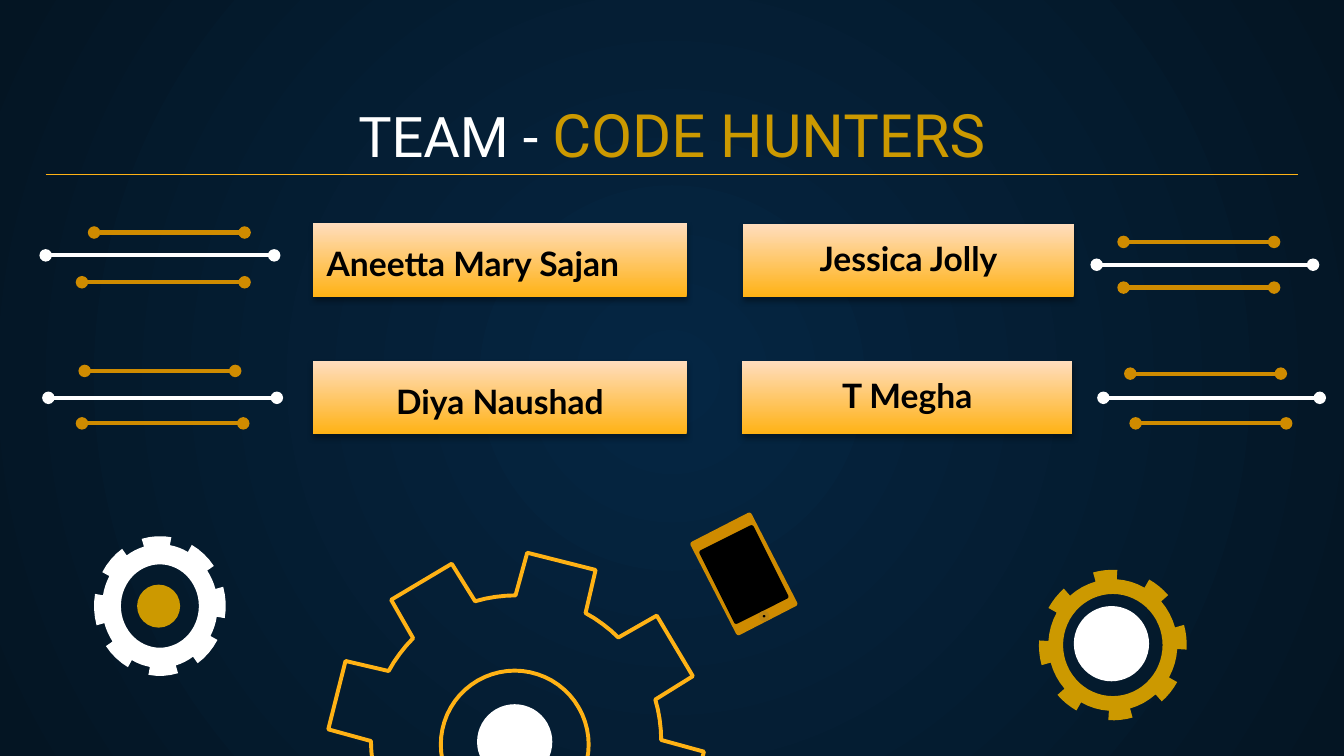
from math import cos, radians, sin

from lxml import etree
from pptx import Presentation
from pptx.dml.color import RGBColor
from pptx.enum import shapes, text
from pptx.oxml import parse_xml
from pptx.oxml.ns import nsdecls, qn
from pptx.util import Inches, Pt

WHITE = RGBColor(0xFF, 0xFF, 0xFF)
BLACK = RGBColor(0, 0, 0)
GOLD = RGBColor(0xCC, 0x99, 0x00)
BRONZE = RGBColor(0xCF, 0x8B, 0x00)
DARK_BRONZE = RGBColor(0xBD, 0x84, 0x10)
AMBER = RGBColor(0xFF, 0xB2, 0x15)
PEACH = RGBColor(0xFF, 0xDD, 0xBD)
NAVY = RGBColor(0x05, 0x26, 0x43)
MIDNIGHT = RGBColor(0x04, 0x15, 0x23)

# left, right, y, colour
CIRCUIT_LINES = [
    (0.34, 2.04, 1.90, WHITE), (0.36, 2.06, 2.96, WHITE),
    (8.16, 9.77, 1.97, WHITE), (8.21, 9.82, 2.96, WHITE),
    (0.70, 1.82, 1.73, BRONZE), (0.61, 1.82, 2.10, BRONZE),
    (0.63, 1.75, 2.76, BRONZE), (0.61, 1.81, 3.15, BRONZE),
    (8.36, 9.48, 1.80, BRONZE), (8.36, 9.48, 2.14, BRONZE),
    (8.41, 9.53, 2.78, BRONZE), (8.45, 9.57, 3.15, BRONZE),
]


def place(shape, left, top, width, height):
    shape.left, shape.top = Inches(left), Inches(top)
    shape.width, shape.height = Inches(width), Inches(height)


def set_gradient(fill, first, last):
    fill.gradient()
    for stop, color in zip(fill.gradient_stops, (first, last)):
        stop.color.rgb = color


def paint_background(slide):
    """Radial gradient, lightest at the centre of the slide."""
    set_gradient(slide.background.fill, NAVY, MIDNIGHT)
    linear = next(slide.element.iter(qn("a:lin")))
    linear.getparent().replace(linear, parse_xml(
        f'<a:path {nsdecls("a")} path="circle">'
        '<a:fillToRect l="50000" t="50000" r="50000" b="50000"/></a:path>'))


def set_frame(box, anchor):
    frame = box.text_frame
    frame.word_wrap = True
    frame.auto_size = text.MSO_AUTO_SIZE.NONE
    frame.vertical_anchor = anchor
    frame.margin_left = frame.margin_right = Inches(0.1)
    frame.margin_top = frame.margin_bottom = Inches(0.1)
    return frame.paragraphs[0]


def fill_title(title):
    place(title, 0.34, 0.7, 9.32, 0.66)
    para = set_frame(title, text.MSO_ANCHOR.BOTTOM)
    para.alignment = text.PP_ALIGN.CENTER
    para.font.name = "Roboto"
    for words, size, color in (("TEAM - ", 30, WHITE), ("CODE HUNTERS", 32, GOLD)):
        span = para.add_run()
        span.text = words
        span.font.size = Pt(size)
        span.font.color.rgb = color


def fill_name_box(box, name, align, spacing=1.0):
    set_gradient(box.fill, AMBER, PEACH)
    box.fill.gradient_angle = 90
    box.line.fill.background()
    box.shadow.inherit = False
    effects = box.element.spPr.find(qn("a:effectLst"))
    effects.append(parse_xml(
        f'<a:outerShdw {nsdecls("a")} blurRad="{Pt(3.1)}" dist="{Pt(1.8)}" dir="5400000">'
        '<a:srgbClr val="000000"><a:alpha val="35000"/></a:srgbClr></a:outerShdw>'))
    para = set_frame(box, text.MSO_ANCHOR.TOP)
    para.text = name
    para.alignment = align
    para.line_spacing = spacing
    para.space_before = Pt(0)
    para.font.name = "Lato"
    para.font.size = Pt(18)
    para.font.bold = True
    para.font.color.rgb = BLACK


def add_line(slide, left, right, y, color, width, dots=False):
    line = slide.shapes.add_connector(
        shapes.MSO_CONNECTOR.STRAIGHT, Inches(left), Inches(y), Inches(right), Inches(y))
    line.line.color.rgb = color
    line.line.width = Pt(width)
    properties = line.element.spPr
    if dots:
        for end in ("a:headEnd", "a:tailEnd"):
            etree.SubElement(properties.find(qn("a:ln")), qn(end), type="oval")
    etree.SubElement(properties, qn("a:effectLst"))


def add_solid(slide, kind, left, top, width, height, color):
    shape = slide.shapes.add_shape(
        kind, Inches(left), Inches(top), Inches(width), Inches(height))
    shape.shadow.inherit = False
    shape.fill.solid()
    shape.fill.fore_color.rgb = color
    shape.line.fill.background()
    return shape


def add_disc(slide, x, y, radius, color):
    return add_solid(slide, shapes.MSO_SHAPE.OVAL,
                     x - radius, y - radius, 2 * radius, 2 * radius, color)


def arc(center, radii, start, end, steps):
    """Points on an ellipse, in degrees clockwise from the top."""
    angles = [radians(start + (end - start) * i / steps) for i in range(steps + 1)]
    return [(Inches(center[0] + radii[0] * sin(a)), Inches(center[1] - radii[1] * cos(a)))
            for a in angles]


def add_gear(slide, center, tip, root, hole_center, hole, turn, tip_half, root_half, tip_steps=4):
    """Gear of eight teeth; turn is the angle of the first, halves are tooth half-angles."""
    outline = []
    for tooth in range(8):
        middle = turn + 45 * tooth
        outline += arc(center, tip, middle - tip_half, middle + tip_half, tip_steps)
        outline += arc(center, root, middle + root_half, middle + 45 - root_half, 4)
    rim = arc(hole_center, hole, 0, 360, 60)
    builder = slide.shapes.build_freeform(*outline[0])
    builder.add_line_segments(outline[1:])
    builder.move_to(*rim[0])
    builder.add_line_segments(rim[1:])
    gear = builder.convert_to_shape()
    gear.shadow.inherit = False
    gear.line.fill.background()
    return gear


def add_gears(slide):
    white = add_gear(slide, (1.19, 4.51), (0.49, 0.52), (0.43, 0.46),
                     (1.19, 4.51), (0.29, 0.31), -3, 13, 13)
    gold = add_gear(slide, (8.28, 4.8), (0.55, 0.56), (0.48, 0.49),
                    (8.28, 4.8), (0.37, 0.38), -6, 9.5, 9.5)
    for gear, color in ((white, WHITE), (gold, GOLD)):
        gear.fill.solid()
        gear.fill.fore_color.rgb = color
    outlined = add_gear(slide, (3.84, 5.51), (1.4, 1.4), (1.08, 1.08),
                        (3.83, 5.54), (0.55, 0.55), 14.2, 10.8, 14.4, tip_steps=1)
    outlined.fill.background()
    outlined.line.color.rgb = AMBER
    outlined.line.width = Pt(2.1)
    add_disc(slide, 1.18, 4.51, 0.16, GOLD)
    add_disc(slide, 3.83, 5.52, 0.28, WHITE)
    add_disc(slide, 8.27, 4.79, 0.28, WHITE)


def add_phone(slide):
    rounded = shapes.MSO_SHAPE.ROUNDED_RECTANGLE
    body = add_solid(slide, rounded, 5.28, 3.88, 0.51, 0.78, BRONZE)
    screen = add_solid(slide, rounded, 5.31, 3.97, 0.45, 0.61, BLACK)
    for part, rotation in ((body, 332.8), (screen, 333.4)):
        part.rotation = rotation
        part.adjustments[0] = 0.04
    button = add_solid(slide, shapes.MSO_SHAPE.FLOWCHART_CONNECTOR,
                       5.66, 4.56, 0.05, 0.05, BLACK)
    button.line.color.rgb = DARK_BRONZE
    button.line.width = Pt(2)


def main():
    deck = Presentation()
    deck.slide_width, deck.slide_height = Inches(10), Inches(10 * 9 / 16)
    slide = deck.slides.add_slide(deck.slide_layouts[0])
    paint_background(slide)
    fill_title(slide.shapes.title)

    first_name = slide.placeholders[1]
    place(first_name, 2.33, 1.66, 2.78, 0.55)
    fill_name_box(first_name, "Aneetta Mary Sajan", text.PP_ALIGN.LEFT, 1.15)
    for name, left, top, width, spacing in (
            ("Jessica Jolly", 5.53, 1.67, 2.46, 1.0),
            ("Diya Naushad", 2.33, 2.69, 2.78, 1.15),
            ("T Megha", 5.52, 2.69, 2.46, 1.0)):
        box = add_solid(slide, shapes.MSO_SHAPE.RECTANGLE, left, top, width, 0.54, AMBER)
        fill_name_box(box, name, text.PP_ALIGN.CENTER, spacing)

    add_line(slide, 0.34, 9.66, 1.3, AMBER, 0.75)
    for left, right, y, color in CIRCUIT_LINES:
        add_line(slide, left, right, y, color, 2.25, dots=True)
    add_gears(slide)
    add_phone(slide)
    deck.save("out.pptx")


if __name__ == "__main__":
    main()
